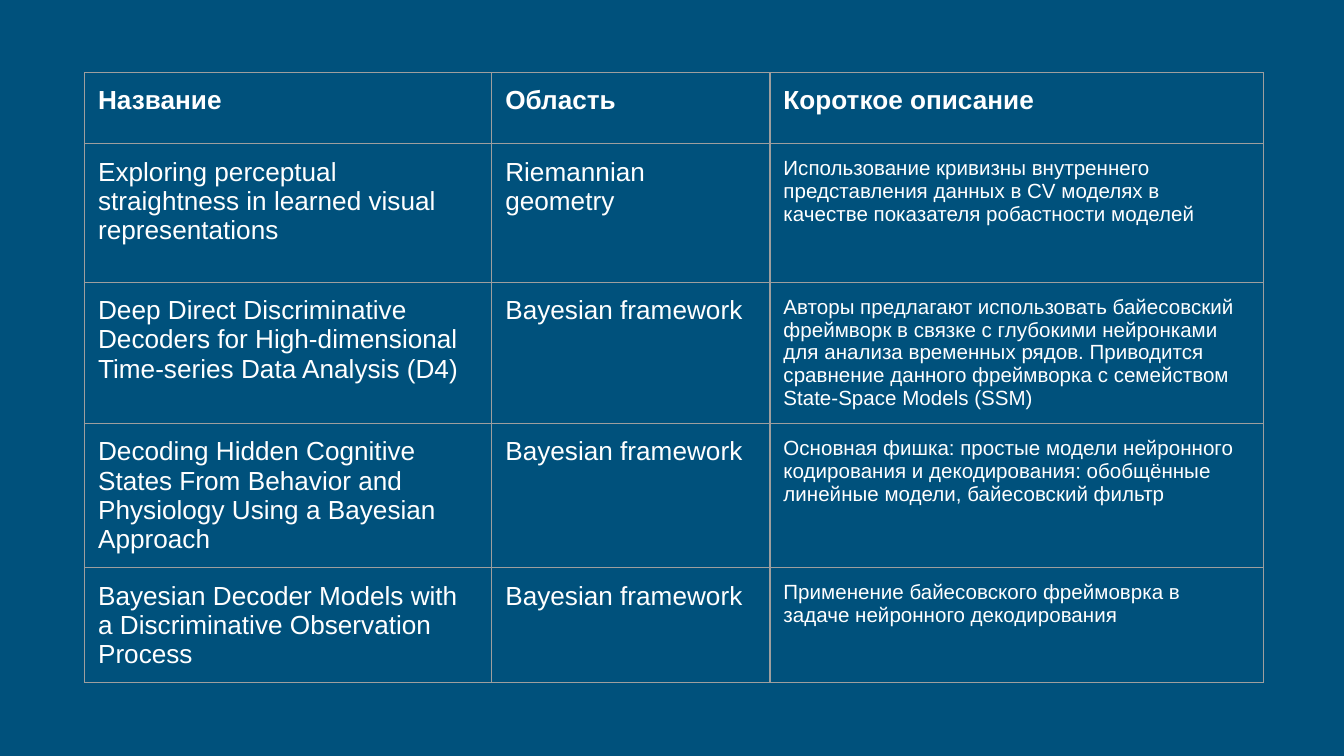
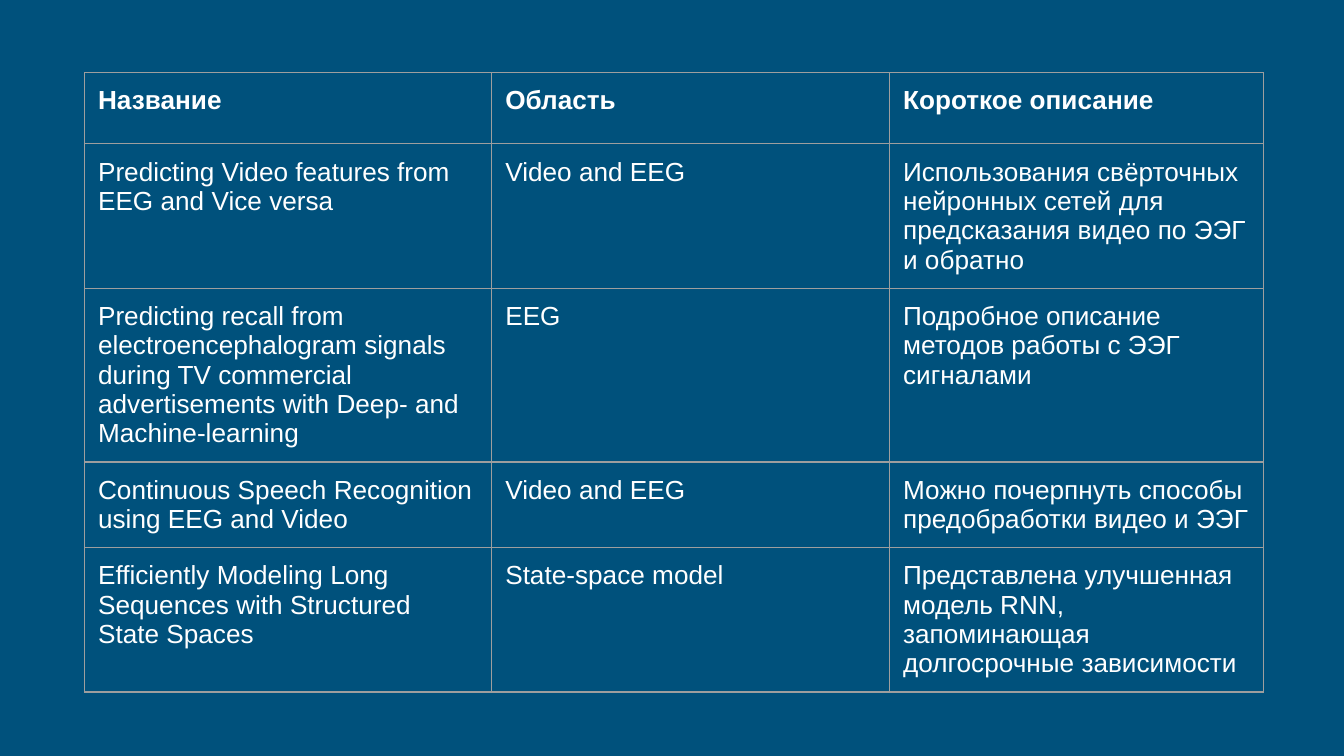
"""Build two slides of paper overview tables."""
import lxml.etree
import pptx
import pptx.dml.color
import pptx.oxml.ns
import pptx.util

Inches = pptx.util.Inches
Pt = pptx.util.Pt

COLORS = {"background": "00517C", "text": "FFFFFF", "border": "9E9E9E"}
FONT = "Arial"
HEADER = ("Название", "Область", "Короткое описание")
LEFT, TOP, MARGIN = 0.63, 0.54, 0.1
BORDER_WIDTH = 0.75

TABLES = [
    {
        "cols": (3.03, 2.07, 3.67),
        "rows": (0.53, 1.03, 0.53, 0.8, 0.53),
        "description_size": 11,
        "papers": [
            ("Exploring perceptual straightness in learned visual representations",
             "Riemannian geometry",
             "Использование кривизны внутреннего представления данных в CV моделях "
             "в качестве показателя робастности моделей"),
            ("Deep Direct Discriminative Decoders for High-dimensional "
             "Time-series Data Analysis (D4)",
             "Bayesian framework",
             "Авторы предлагают использовать байесовский фреймворк в связке с глубокими "
             "нейронками для анализа временных рядов. Приводится сравнение данного "
             "фреймворка с семейством State-Space Models (SSM)"),
            ("Decoding Hidden Cognitive States From Behavior and Physiology "
             "Using a Bayesian Approach",
             "Bayesian framework",
             "Основная фишка: простые модели нейронного кодирования и декодирования: "
             "обобщённые линейные модели, байесовский фильтр"),
            ("Bayesian Decoder Models with a Discriminative Observation Process",
             "Bayesian framework",
             "Применение байесовского фреймоврка в задаче нейронного декодирования"),
        ],
    },
    {
        "cols": (3.03, 2.96, 2.78),
        "rows": (0.53, 0.78, 0.53, 0.53, 0.53),
        "description_size": 14,
        "papers": [
            ("Predicting Video features from EEG and Vice versa",
             "Video and EEG",
             "Использования свёрточных нейронных сетей для предсказания видео "
             "по ЭЭГ и обратно"),
            ("Predicting recall from electroencephalogram signals during TV commercial "
             "advertisements with Deep- and Machine-learning",
             "EEG",
             "Подробное описание методов работы с ЭЭГ сигналами"),
            ("Continuous Speech Recognition using EEG and Video",
             "Video and EEG",
             "Можно почерпнуть способы предобработки видео и ЭЭГ"),
            ("Efficiently Modeling Long Sequences with Structured State Spaces",
             "State-space model",
             "Представлена улучшенная модель RNN, запоминающая долгосрочные зависимости"),
        ],
    },
]


def rgb(name):
    return pptx.dml.color.RGBColor.from_string(COLORS[name])


def write(tf, text, size=14, bold=False, color="text"):
    r = tf.paragraphs[0].add_run()
    r.text = text
    r.font.name = FONT
    r.font.size = Pt(size)
    r.font.bold = bold
    r.font.color.rgb = rgb(color)


def format_cell(cell):
    qn = pptx.oxml.ns.qn
    cell.margin_left = cell.margin_right = Inches(MARGIN)
    cell.margin_top = cell.margin_bottom = Inches(MARGIN)
    tc_pr = cell._tc.get_or_add_tcPr()
    for side in ("a:lnL", "a:lnR", "a:lnT", "a:lnB"):
        ln = lxml.etree.SubElement(tc_pr, qn(side), w=str(Pt(BORDER_WIDTH)))
        fill = lxml.etree.SubElement(ln, qn("a:solidFill"))
        lxml.etree.SubElement(fill, qn("a:srgbClr"), val=COLORS["border"])
    cell.fill.background()


def add_paper_table(s, cols, rows, description_size, papers):
    table = s.shapes.add_table(
        len(rows), len(cols), Inches(LEFT), Inches(TOP),
        Inches(sum(cols)), Inches(sum(rows))).table
    table.first_row = table.horz_banding = False
    for column, width in zip(table.columns, cols):
        column.width = Inches(width)
    for row, height in zip(table.rows, rows):
        row.height = Inches(height)
    for i, texts in enumerate([HEADER] + papers):
        for j, text in enumerate(texts):
            cell = table.cell(i, j)
            format_cell(cell)
            size = description_size if i > 0 and j == 2 else 14
            write(cell.text_frame, text, size=size, bold=i == 0)


def main():
    prs = pptx.Presentation()
    prs.slide_width = Inches(10)
    prs.slide_height = prs.slide_width * 9 // 16
    background = prs.slide_master.background.fill
    background.solid()
    background.fore_color.rgb = rgb("background")
    for content in TABLES:
        add_paper_table(prs.slides.add_slide(prs.slide_layouts[6]), **content)
    prs.save("out.pptx")


if __name__ == "__main__":
    main()
